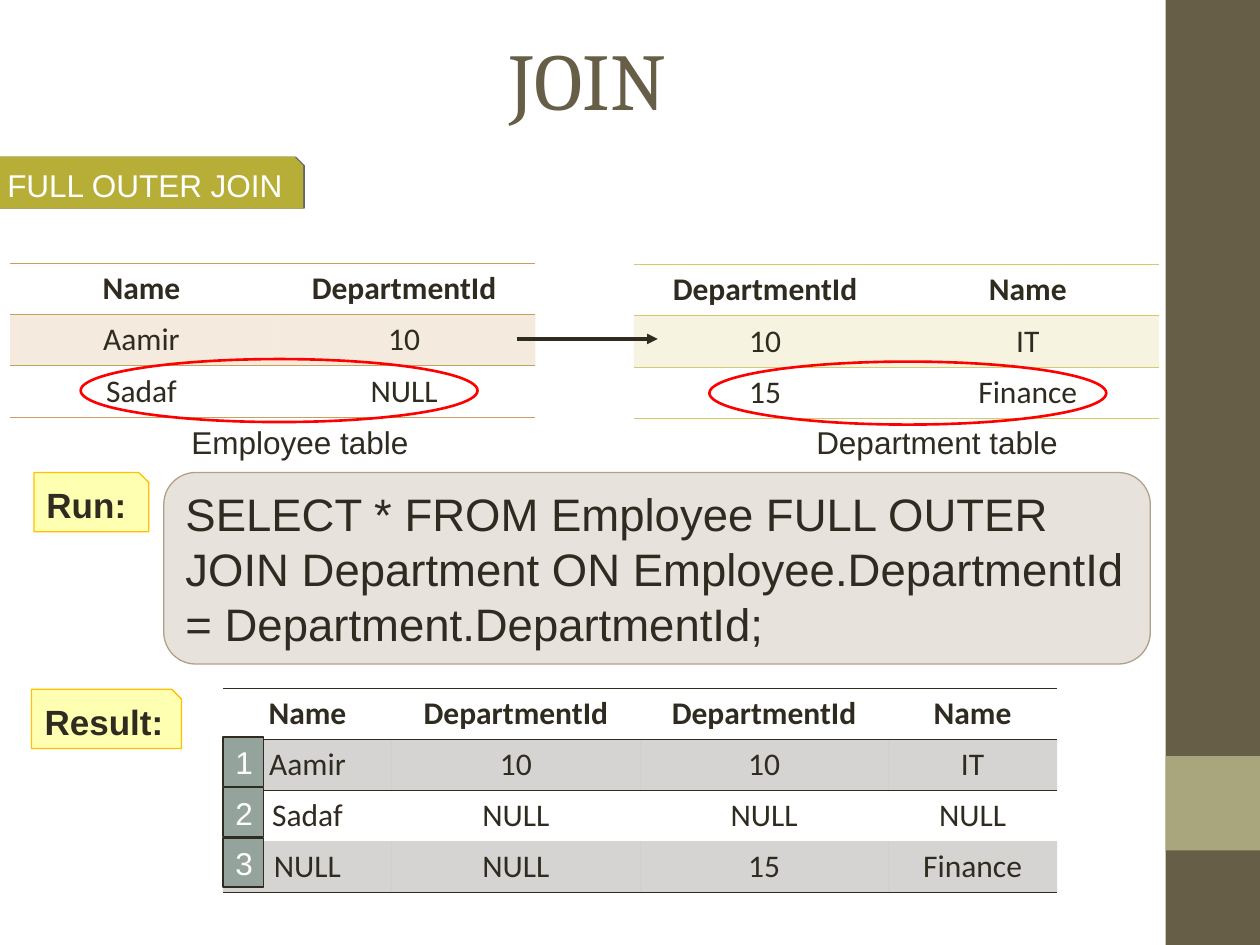
from dataclasses import dataclass
from typing import Optional

from lxml.etree import SubElement
from pptx import Presentation
from pptx.dml.color import RGBColor
from pptx.enum.shapes import MSO_CONNECTOR, MSO_SHAPE
from pptx.enum.text import MSO_ANCHOR, PP_ALIGN
from pptx.oxml.ns import qn
from pptx.util import Inches, Pt

DARK = "2F2B20"
BROWN = "675E47"
WHITE = "FFFFFF"
YELLOW = "FFFF00"
AMBER = "FFC000"
OLIVE = "B7AE38"
PLAIN_TABLE_STYLE = "{2D5ABB26-0587-4C30-8999-92F81FD0307C}"


@dataclass
class Box:
    left: float
    top: float
    width: float
    height: float

    def lengths(self) -> list:
        return [Inches(n) for n in (self.left, self.top, self.width, self.height)]


@dataclass
class Label:
    text: str
    size: float = 18
    color: str = DARK
    bold: bool = False
    font: str = "Arial"
    align: PP_ALIGN = PP_ALIGN.LEFT
    anchor: MSO_ANCHOR = MSO_ANCHOR.MIDDLE


@dataclass
class DataTable:
    box: Box
    columns: list
    rows: list
    accent: str


def rgb(color: str) -> RGBColor:
    return RGBColor.from_string(color)


def set_fill(fill, color: str, alpha: int = 100) -> None:
    fill.solid()
    fill.fore_color.rgb = rgb(color)
    if alpha < 100:
        color_element = fill._xPr.find(qn("a:solidFill"))[0]
        SubElement(color_element, qn("a:alpha"), val=str(alpha * 1000))


def write(text_frame, label: Label) -> None:
    paragraph = text_frame.paragraphs[0]
    paragraph.alignment = label.align
    run = paragraph.add_run()
    run.text = label.text
    run.font.name = label.font
    run.font.size = Pt(label.size)
    run.font.bold = label.bold
    run.font.color.rgb = rgb(label.color)


def add_block(slide, kind: MSO_SHAPE, box: Box, fill: Optional[str] = None,
              line: Optional[str] = None, line_width: float = 0.75,
              alpha: int = 100, label: Optional[Label] = None):
    shape = slide.shapes.add_shape(kind, *box.lengths())
    shape.shadow.inherit = False
    if fill:
        set_fill(shape.fill, fill, alpha)
    else:
        shape.fill.background()
    if line:
        shape.line.color.rgb = rgb(line)
        shape.line.width = Pt(line_width)
    else:
        shape.line.fill.background()
    if label:
        shape.text_frame.word_wrap = True
        shape.text_frame.vertical_anchor = label.anchor
        write(shape.text_frame, label)
    return shape


def add_caption(slide, box: Box, label: Label) -> None:
    text_box = slide.shapes.add_textbox(*box.lengths())
    text_box.text_frame.word_wrap = True
    write(text_box.text_frame, label)


def add_border(cell, side: str, color: str) -> None:
    line = SubElement(cell._tc.get_or_add_tcPr(), qn(f"a:{side}"), w=str(Pt(0.45)))
    solid = SubElement(line, qn("a:solidFill"))
    SubElement(solid, qn("a:srgbClr"), val=color)


def add_data_table(slide, data: DataTable) -> None:
    row_count = len(data.rows)
    frame = slide.shapes.add_table(row_count, len(data.columns), *data.box.lengths())
    table = frame.table
    table.first_row = table.horz_banding = False
    table._tbl.tblPr.find(qn("a:tableStyleId")).text = PLAIN_TABLE_STYLE
    for column, width in zip(table.columns, data.columns):
        column.width = Inches(width)
    for i, values in enumerate(data.rows):
        table.rows[i].height = Inches(data.box.height / row_count)
        for j, value in enumerate(values):
            cell = table.cell(i, j)
            write(cell.text_frame, Label(value, bold=i == 0, font="Calibri",
                                         align=PP_ALIGN.CENTER))
            # Rules above and below the header, and below the last row
            if i < 2:
                add_border(cell, "lnT", data.accent)
            if i in (0, row_count - 1):
                add_border(cell, "lnB", data.accent)
            if i % 2:
                set_fill(cell.fill, data.accent, 20)
            else:
                cell.fill.background()


def add_arrow(slide, left: float, right: float, y: float) -> None:
    arrow = slide.shapes.add_connector(
        MSO_CONNECTOR.STRAIGHT, Inches(left), Inches(y), Inches(right), Inches(y))
    arrow.line.color.rgb = rgb(DARK)
    arrow.line.width = Pt(2)
    SubElement(arrow.line._get_or_add_ln(), qn("a:tailEnd"), type="triangle")
    SubElement(arrow._element.spPr, qn("a:effectLst"))


def add_hard_shadow(shape) -> None:
    effects = shape._element.spPr.find(qn("a:effectLst"))
    shadow = SubElement(effects, qn("a:outerShdw"), blurRad="0",
                        dist=str(Pt(1)), dir="0", rotWithShape="0")
    color = SubElement(shadow, qn("a:srgbClr"), val="000000")
    SubElement(color, qn("a:alpha"), val="60000")


def main() -> None:
    presentation = Presentation()
    presentation.slide_width = Inches(10)
    presentation.slide_height = Inches(7.5)
    slide = presentation.slides.add_slide(presentation.slide_layouts[5])

    # Side band
    add_block(slide, MSO_SHAPE.RECTANGLE, Box(9.25, 0, 0.75, 7.5), BROWN)
    add_block(slide, MSO_SHAPE.RECTANGLE, Box(9.25, 6, 0.75, 0.75), "A9A57C")

    # Title
    title = slide.shapes.title
    title.left, title.top, title.width, title.height = Box(0.5, 0, 8.33, 1.25).lengths()
    title.text_frame.vertical_anchor = MSO_ANCHOR.MIDDLE
    write(title.text_frame, Label("JOIN", 46, BROWN, font="Cambria",
                                  align=PP_ALIGN.CENTER))

    # Join type and step tags
    join_tag = add_block(slide, MSO_SHAPE.SNIP_1_RECTANGLE, Box(-0.04, 1.25, 2.44, 0.4),
                         OLIVE, OLIVE, 1, label=Label("FULL OUTER JOIN", color=WHITE))
    add_hard_shadow(join_tag)
    for text, box, align in (
        ("Run:", Box(0.27, 3.75, 0.91, 0.47), PP_ALIGN.LEFT),
        ("Result:", Box(0.25, 5.47, 1.19, 0.47), PP_ALIGN.CENTER),
    ):
        add_block(slide, MSO_SHAPE.SNIP_1_RECTANGLE, box, YELLOW, AMBER, alpha=30,
                  label=Label(text, 20, bold=True, align=align))

    # Query
    query = ("SELECT * FROM Employee FULL OUTER JOIN Department "
             "ON Employee.DepartmentId = Department.DepartmentId;")
    add_block(slide, MSO_SHAPE.ROUNDED_RECTANGLE, Box(1.3, 3.75, 7.83, 1.52),
              "B1A089", "B1A089", alpha=30, label=Label(query, 26))

    # Source tables and result
    for data in (
        DataTable(Box(0.08, 2.09, 4.17, 1.22), [2.085] * 2,
                  [("Name", "DepartmentId"), ("Aamir", "10"), ("Sadaf", "NULL")],
                  "C89F5D"),
        DataTable(Box(5.03, 2.1, 4.17, 1.22), [2.085] * 2,
                  [("DepartmentId", "Name"), ("10", "IT"), ("15", "Finance")],
                  "D2CB6C"),
        DataTable(Box(1.77, 5.46, 6.61, 1.62), [1.34, 1.97, 1.97, 1.34],
                  [("Name", "DepartmentId", "DepartmentId", "Name"),
                   ("Aamir", "10", "10", "IT"),
                   ("Sadaf", "NULL", "NULL", "NULL"),
                   ("NULL", "NULL", "15", "Finance")],
                  DARK),
    ):
        add_data_table(slide, data)
    add_caption(slide, Box(1.42, 3.31, 2.21, 0.4), Label("Employee table"))
    add_caption(slide, Box(6.38, 3.31, 2.21, 0.4), Label("Department table"))

    # Matching rows, unmatched rows and result row numbers
    add_arrow(slide, 4.1, 5.22, 2.69)
    for left, top in ((0.64, 2.85), (5.63, 2.87)):
        add_block(slide, MSO_SHAPE.OVAL, Box(left, top, 3.15, 0.5),
                  line="FF0000", line_width=1.5)
    for i in range(3):
        add_block(slide, MSO_SHAPE.RECTANGLE, Box(1.77, 5.85 + 0.4 * i, 0.32, 0.39),
                  "95A39D", DARK,
                  label=Label(str(i + 1), color=WHITE, anchor=MSO_ANCHOR.TOP))

    presentation.save("out.pptx")


if __name__ == "__main__":
    main()
